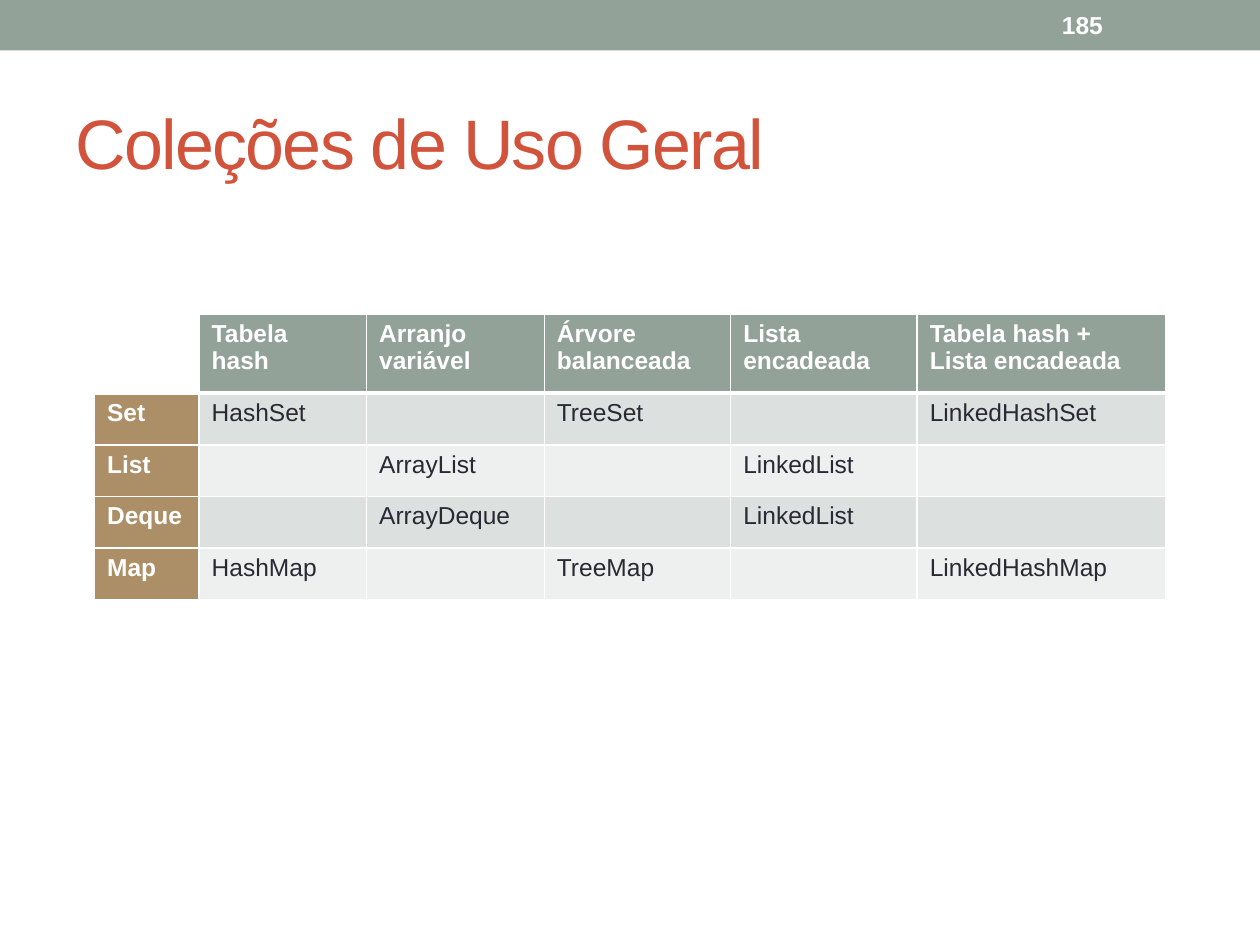
from lxml.etree import SubElement
from pptx import Presentation
from pptx.dml.color import RGBColor
from pptx.enum.shapes import MSO_SHAPE
from pptx.enum.text import MSO_ANCHOR, PP_ALIGN
from pptx.oxml.ns import qn
from pptx.util import Inches, Pt

TITLE = "Coleções de Uso Geral"
PAGE_NUMBER = "185"
ROWS = [
    ["", "Tabela\nhash", "Arranjo variável", "Árvore balanceada",
     "Lista encadeada", "Tabela hash + Lista encadeada"],
    ["Set", "HashSet", "", "TreeSet", "", "LinkedHashSet"],
    ["List", "", "ArrayList", "", "LinkedList", ""],
    ["Deque", "", "ArrayDeque", "", "LinkedList", ""],
    ["Map", "HashMap", "", "TreeMap", "", "LinkedHashMap"],
]
COLUMN_WIDTHS = [0.83, 1.33, 1.41, 1.48, 1.48, 1.97]
ROW_HEIGHTS = [0.63] + [0.41] * 4
WHITE, SAGE, TAN, RED, INK = "FFFFFF", "93A299", "AD8F67", "D2533C", "292934"
BANDS = ["DCE0DE", "EEF0EF"]


def color(value):
    """Return the colour for a hex string."""
    return RGBColor.from_string(value)


def style_text(text_frame, size, value, bold=False):
    """Format every paragraph of a text frame alike."""
    for paragraph in text_frame.paragraphs:
        paragraph.alignment = PP_ALIGN.LEFT
        font = paragraph.font
        font.name, font.size, font.bold = "Arial", Pt(size), bold
        font.color.rgb = color(value)


def set_borders(cell, widths):
    """Draw white cell borders with widths in points by side."""
    properties = cell._tc.get_or_add_tcPr()
    for side, width in widths.items():
        line = SubElement(properties, qn(f"a:ln{side}"), w=str(Pt(width)))
        fill = SubElement(line, qn("a:solidFill"))
        SubElement(fill, qn("a:srgbClr"), val=WHITE)


def cell_fill(row, column):
    """Return the fill colour of a table cell."""
    if row == 0:
        return SAGE if column else WHITE
    return BANDS[(row - 1) % 2] if column else TAN


def add_header(slide, width):
    """Add the top bar and the page number."""
    bar = slide.shapes.add_shape(MSO_SHAPE.RECTANGLE, 0, 0, width, Inches(0.4))
    bar.shadow.inherit = False
    bar.fill.solid()
    bar.fill.fore_color.rgb = color(SAGE)
    bar.line.fill.background()
    number = slide.shapes.add_textbox(Inches(8.33), Inches(0.02), Inches(1.17), Inches(0.36))
    text_frame = number.text_frame
    text_frame.word_wrap = True
    text_frame.vertical_anchor = MSO_ANCHOR.MIDDLE
    text_frame.text = PAGE_NUMBER
    style_text(text_frame, 14, WHITE, True)


def add_title(slide):
    """Fill and place the title placeholder."""
    title = slide.shapes.title
    title.left, title.top, title.width, title.height = map(Inches, (0.5, 0.58, 9, 1.08))
    text_frame = title.text_frame
    text_frame.text = TITLE
    text_frame.vertical_anchor = MSO_ANCHOR.MIDDLE
    style_text(text_frame, 40, RED)
    text_frame.paragraphs[0].runs[0]._r.get_or_add_rPr().set("spc", "-100")


def add_collection_table(slide):
    """Add the table of collection implementations."""
    table = slide.shapes.add_table(
        len(ROWS), len(COLUMN_WIDTHS), Inches(0.75), Inches(2.49),
        Inches(sum(COLUMN_WIDTHS)), Inches(sum(ROW_HEIGHTS))).table
    for column, width in zip(table.columns, COLUMN_WIDTHS):
        column.width = Inches(width)
    for row, height in zip(table.rows, ROW_HEIGHTS):
        row.height = Inches(height)
    for i, texts in enumerate(ROWS):
        for j, text in enumerate(texts):
            cell = table.cell(i, j)
            cell.text = text
            heading = i == 0 or j == 0
            style_text(cell.text_frame, 14, WHITE if heading else INK, heading)
            set_borders(cell, {"L": 1, "R": 1, "T": 3 if i == 1 else 1, "B": 3 if i == 0 else 1})
            cell.fill.solid()
            cell.fill.fore_color.rgb = color(cell_fill(i, j))


def main():
    """Build and save the presentation."""
    presentation = Presentation()
    presentation.slide_width, presentation.slide_height = Inches(10), Inches(7.5)
    slide = presentation.slides.add_slide(presentation.slide_layouts[5])
    add_header(slide, presentation.slide_width)
    add_title(slide)
    add_collection_table(slide)
    presentation.save("out.pptx")


if __name__ == "__main__":
    main()
